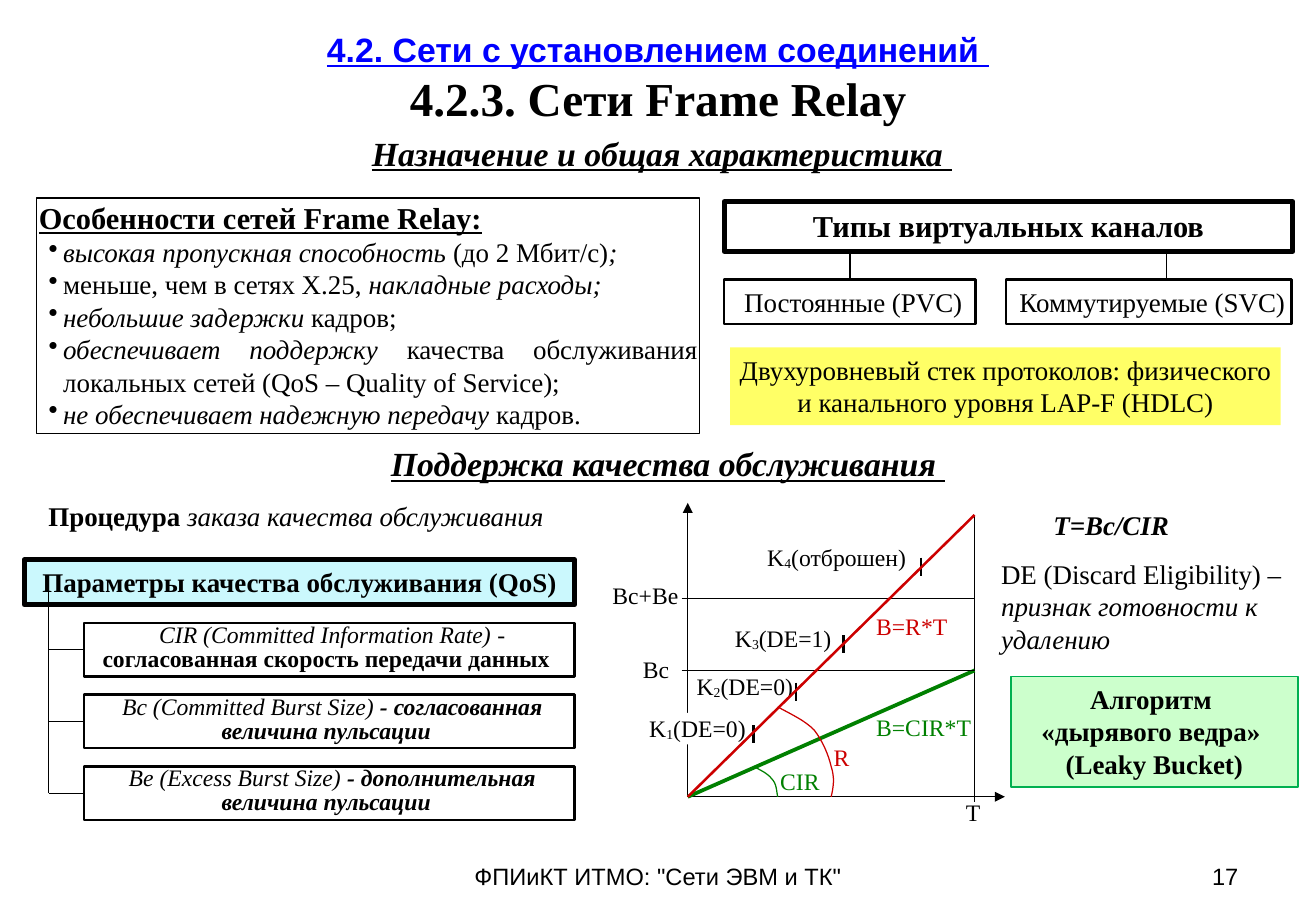
"""Build the Frame Relay slide: features, channel types, QoS parameters and burst graph."""
from lxml.etree import SubElement
from pptx import Presentation
from pptx.dml.color import RGBColor
from pptx.enum.shapes import MSO_CONNECTOR as Link, MSO_SHAPE as Shape
from pptx.enum.text import MSO_ANCHOR as Anchor, PP_ALIGN as Align
from pptx.oxml.ns import qn
from pptx.util import Inches, Pt

COLUMNS, ROWS = 108.3, 75
CELL = Inches(0.1)
COLORS = {"black": "000000", "blue": "0000FF", "red": "CC0000", "green": "008000",
          "white": "FFFFFF", "yellow": "FFFF66", "cyan": "CBF8FD", "mint": "CCFFCC",
          "edge": "00B050"}
SERIF, SANS = "Times New Roman", "Arial"
MARKS = {"b": "bold", "i": "italic", "u": "underline"}
ALIGNS = {"l": Align.LEFT, "c": Align.CENTER, "r": Align.RIGHT, "j": Align.JUSTIFY}
TIGHT, LABEL, SNUG = (0.2, 0.1, 0.2, 0.1), (0.2, 0.1, 0, 0.1), (0.2, 0.5, 0.2, 0.5)

TITLE = [[("4.2. Сети с установлением соединений ", "bu",
           {"size": 20, "name": SANS, "color": "blue"}),
          ("\n", ""), ("4.2.3. Сети Frame Relay", "b")]]
FEATURES_HEAD = [("Особенности сетей Frame Relay:", "bu", {"size": 18})]
FEATURES = [
    [("высокая пропускная способность ", "i"), ("(до 2 Мбит/с)", ""), (";", "i")],
    [("меньше, чем в сетях Х.25,", ""), (" накладные расходы;", "i")],
    [("небольшие задержки", "i"), (" кадров;", "")],
    [("обеспечивает поддержку ", "i"),
     ("качества обслуживания локальных сетей (QoS – Quality of Service); ", "")],
    [("не обеспечивает надежную передачу ", "i"), ("кадров.", "")]]
PARAMETERS = [
    [(" CIR (Committed Information Rate)", "i"), (" - ", ""),
     ("согласованная скорость передачи данных ", "b")],
    [(" Bс (Committed Burst Size)", "i"), (" - согласованная величина пульсации ", "bi")],
    [(" Be (Excess Burst Size)", "i"), (" - дополнительная величина пульсации ", "bi")]]
BUCKET = [[("Алгоритм ", "b")], [("«дырявого ведра» ", "b")], [("(Leaky Bucket)", "b")]]

HEADINGS = [("Назначение и общая характеристика ", (3, 10.4, 102.9, 4.3)),
            ("Поддержка качества обслуживания ", (3.5, 36, 102.9, 4.3))]
FOOTERS = [('ФПИиКТ ИТМО: "Сети ЭВМ и ТК"', (37, 70.5, 34.3, 3), "c"),
           ("17", (77.6, 70.5, 25.3, 3), "r")]
NOTES = [([("Процедура ", "b"), ("заказа качества обслуживания", "i")], (3, 40.6, 44.3, 3.7)),
         ([("T=Bc/CIR", "bi")], (85.7, 41.4, 13.2, 3.7)),
         ([("DE (Discard Eligibility) – ", ""), ("признак готовности к удалению", "i")],
          (81.4, 45.4, 25.3, 9.1))]

LEFT, BASE, PERIOD, BURST, EXCESS, PEAK = 56.6, 65.6, 80.2, 55.2, 49.3, 42.4
GRAPH_LINES = [
    ((LEFT, BASE), (LEFT, 41.4), "black", 0.75, True),
    ((LEFT, BASE), (82.7, BASE), "black", 0.75, True),
    ((PERIOD, BASE + 0.4), (PERIOD, PEAK), "black", 0.75, False),
    ((LEFT, BASE), (PERIOD, BURST), "green", 2.25, False),
    ((LEFT - 0.5, BURST), (PERIOD, BURST), "black", 0.75, False),
    ((LEFT - 0.5, EXCESS), (PERIOD, EXCESS), "black", 0.75, False)]
GRAPH_LABELS = [("Bc+Be", 50.2, 47.7, 5.9, "black"), ("Bc", 52.7, 53.8, 3.9, "black"),
                ("Т", 79.3, BASE, 2, "black"), ("CIR", 64, 63, 3.9, "green"),
                ("R", 68.4, 61.1, 3.9, "red"), ("B=CIR*T", 71.9, 58.6, 8.4, "green"),
                ("B=R*T", 71.9, 50.3, 8.4, "red")]
FRAMES = [("(DE=0)", 53.2, 58.7, 8.4, (62, 59.7)), ("(DE=0)", 56.6, 55.2, 9.4, (65.5, 56.2)),
          ("(DE=1)", 59.5, 51.3, 9.9, (69.4, 52.3)),
          ("(отброшен)", 61.9, 44.6, 13.9, (75.8, 45.9))]
ARCS = [("green", [(62, 63.1), (62.6, 63.4), (63.2, 63.7), (63.5, 64.1),
                   (63.9, 64.5), (63.9, 65), (64, BASE)]),
        ("red", [(64, 58.2), (65.1, 58.8), (66.2, 59.3), (67, 60.1), (67.7, 61),
                 (68.2, 62.2), (68.4, 63.1), (68.7, 64), (68.6, 64.8), (68.4, BASE)])]


def cells(*values):
    return [round(value * CELL) for value in values]


def rgb(name):
    return RGBColor.from_string(COLORS[name])


def write_spans(para, spans, size, name, color):
    for text, marks, *special in spans:
        if text == "\n":
            para.add_line_break()
            continue
        span = para.add_run()
        span.text = text
        look = {"size": size, "name": name, "color": color, **(special[0] if special else {})}
        span.font.color.rgb = rgb(look["color"])
        formats = {"size": Pt(look["size"]), "name": look["name"]}
        formats.update({field: mark in marks for mark, field in MARKS.items()})
        for field, value in formats.items():
            setattr(span.font, field, value)
        if "s" in marks:
            span.font._element.set("baseline", "-8000")


def add_box(page, at, paras, size=16, name=SERIF, color="black", align="l", inset=(1, 0.5, 1, 0.5),
            fill=None, edge=None, weight=1.5, anchor=Anchor.TOP, spacing=None, bulleted=False):
    if fill or edge:
        box = page.shapes.add_shape(Shape.RECTANGLE, *cells(*at))
        box.shadow.inherit = False
        if fill:
            box.fill.solid()
            box.fill.fore_color.rgb = rgb(fill)
        else:
            box.fill.background()
        if edge:
            box.line.color.rgb = rgb(edge)
            box.line.width = Pt(weight)
        else:
            box.line.fill.background()
    else:
        box = page.shapes.add_textbox(*cells(*at))
    frame = box.text_frame
    sides = ("margin_left", "margin_top", "margin_right", "margin_bottom")
    formats = {"word_wrap": True, "vertical_anchor": anchor, **dict(zip(sides, cells(*inset)))}
    for field, value in formats.items():
        setattr(frame, field, value)
    for index, spans in enumerate(paras):
        para = frame.add_paragraph() if index else frame.paragraphs[0]
        para.alignment = ALIGNS["j" if bulleted and index else align]
        if spacing:
            para.line_spacing = spacing
        if bulleted and index:
            props = para._p.get_or_add_pPr()
            props.set("marL", str(Inches(0.2)))
            props.set("indent", str(-Inches(0.12)))
            SubElement(props, qn("a:buChar")).set("char", "•")
        write_spans(para, spans, size, name, color)
    return box


def add_line(page, start, end, color="black", weight=0.75, arrow=False):
    line = page.shapes.add_connector(Link.STRAIGHT, *cells(*start, *end))
    line.line.color.rgb = rgb(color)
    line.line.width = Pt(weight)
    if arrow:
        SubElement(line.line._get_or_add_ln(), qn("a:tailEnd")).set("type", "triangle")
    SubElement(line._element.spPr, qn("a:effectLst"))
    return line


def curve_points(knots, steps=8):
    for first in range(0, len(knots) - 1, 3):
        a, b, c, d = knots[first:first + 4]
        for step in range(1, steps + 1):
            t = step / steps
            weights = ((1 - t) ** 3, 3 * t * (1 - t) ** 2, 3 * t * t * (1 - t), t ** 3)
            yield cells(*(sum(w * p for w, p in zip(weights, axis)) for axis in zip(a, b, c, d)))


def add_arc(page, color, knots):
    builder = page.shapes.build_freeform(*cells(*knots[0]))
    builder.add_line_segments(list(curve_points(knots)), close=False)
    arc = builder.convert_to_shape()
    arc.shadow.inherit = False
    arc.fill.background()
    arc.line.color.rgb = rgb(color)
    arc.line.width = Pt(0.75)


def add_overview(page):
    add_box(page, (5.4, 0.1, 97.5, 12.5), TITLE, size=28, align="c", anchor=Anchor.MIDDLE)
    for text, at in HEADINGS:
        add_box(page, at, [[(text, "biu")]], size=20, align="c")
    for text, at, align in FOOTERS:
        add_box(page, at, [[(text, "")]], size=14, name=SANS, align=align)
    for spans, at in NOTES:
        add_box(page, at, [spans])
    add_box(page, (3, 16.3, 54.6, 19.4), [FEATURES_HEAD, *FEATURES], inset=TIGHT,
            edge="black", weight=0.75, bulleted=True)
    add_box(page, (60.1, 28.6, 45.3, 6.4), [[(
        "Двухуровневый стек протоколов: физического и канального уровня LAP-F (HDLC)", "")]],
        align="c", inset=SNUG, fill="yellow")
    add_box(page, (83.2, 55.7, 23.6, 9.1), BUCKET, align="c", fill="mint", edge="edge", weight=1)


def add_channels(page):
    add_box(page, (59.6, 16.6, 46.8, 4.1), [[("Типы виртуальных каналов", "b")]],
            size=18, align="c", edge="black", weight=3)
    permanent = add_box(page, (59.6, 23, 20.7, 3.7), [[(" Постоянные (PVC)", "")]],
                        align="c", edge="black")
    add_box(page, (82.8, 23, 23.5, 3.7), [[(" Коммутируемые (SVC)", "")]],
            align="c", inset=SNUG, edge="black")
    add_line(page, (69.95, 23), (69.95, 20.7)).begin_connect(permanent, 0)
    add_line(page, (96, 23), (96, 20.7))


def add_parameters(page):
    trunk, left, top, height, pitch = 4, 6.9, 51.3, 4.4, 5.9
    add_box(page, (2, 46.1, 45.3, 3.7), [[("Параметры качества обслуживания (QoS)", "b")]],
            align="c", inset=SNUG, fill="cyan", edge="black", weight=3)
    for index, spans in enumerate(PARAMETERS):
        row = top + index * pitch
        middle = row + height / 2
        box = add_box(page, (left, row, 40.4, height), [spans], size=14, align="c",
                      inset=TIGHT, edge="black", spacing=0.85)
        add_line(page, (trunk, middle), (left, middle)).end_connect(box, 1)
    add_line(page, (trunk, middle), (trunk, 47.9))


def add_graph(page):
    for line in GRAPH_LINES:
        add_line(page, *line)
    for arc in ARCS:
        add_arc(page, *arc)
    for text, left, top, width, color in GRAPH_LABELS:
        add_box(page, (left, top, width, 2.6), [[(text, "")]], size=14, color=color, inset=LABEL)
    for number, (state, left, top, width, (x, y)) in enumerate(FRAMES, 1):
        add_box(page, (left, top, width, 2.6), [[("K", ""), (str(number), "s"), (state, "")]],
                size=14, align="c", inset=(0, 0.1, 0, 0.1), fill="white" if number == 1 else None)
        add_line(page, (x, y), (x, y + 1.5), weight=1.5)
    add_line(page, (LEFT, BASE), (PERIOD, PEAK), "red", 1.5)


def main():
    deck = Presentation()
    deck.slide_width, deck.slide_height = cells(COLUMNS, ROWS)
    page = deck.slides.add_slide(deck.slide_layouts[6])
    for add_part in (add_overview, add_channels, add_parameters, add_graph):
        add_part(page)
    deck.save("out.pptx")


if __name__ == "__main__":
    main()
